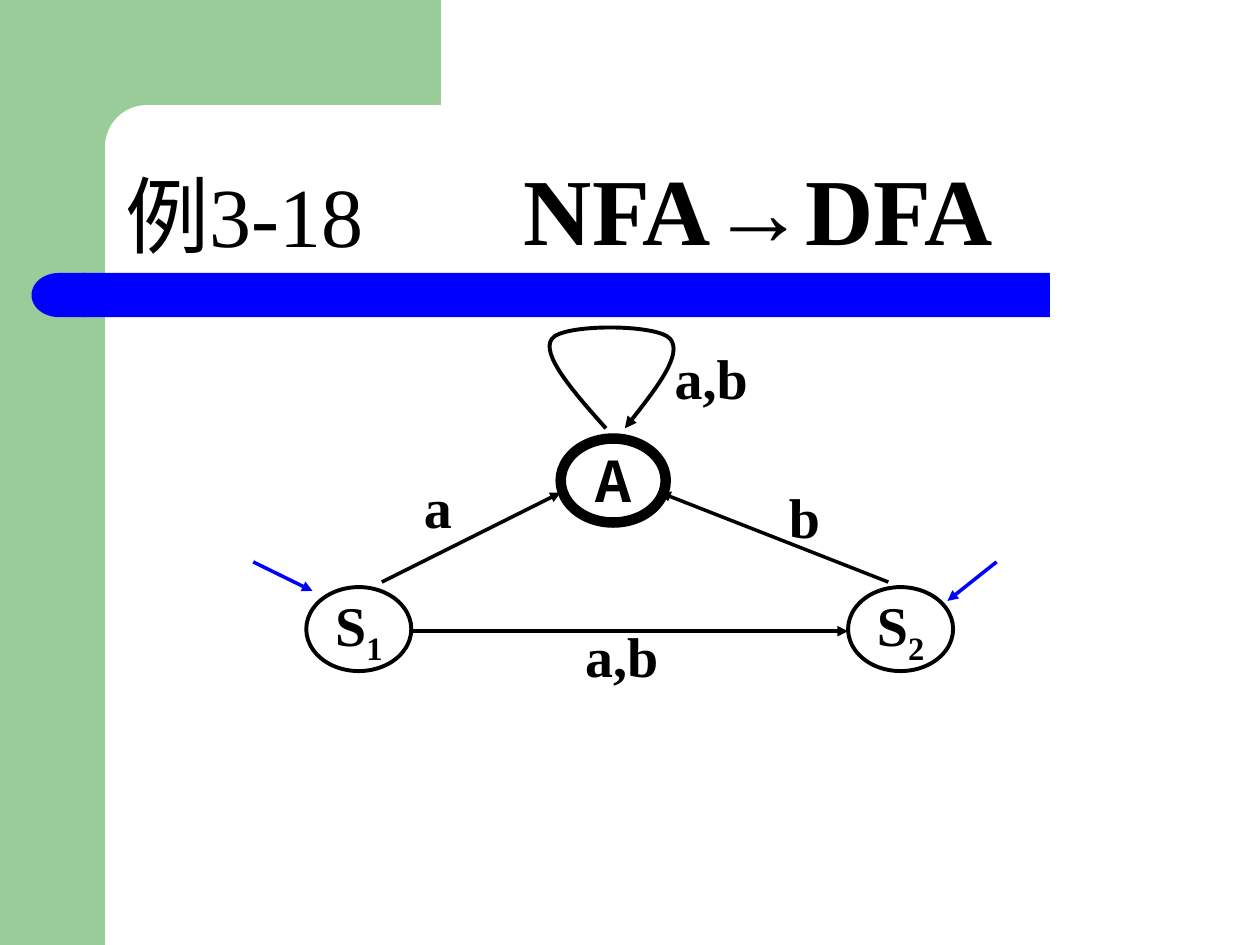
from lxml.etree import SubElement
from pptx import Presentation
from pptx.dml.color import RGBColor
from pptx.enum.shapes import MSO_CONNECTOR, MSO_SHAPE
from pptx.enum.text import MSO_ANCHOR, PP_ALIGN
from pptx.oxml.ns import qn
from pptx.util import Pt

COLORS = {"green": "99CC99", "blue": "0000FF", "white": "FFFFFF", "black": "000000"}
SERIF, SANS = "Times New Roman", "Noto Sans CJK SC"


def color(name):
    """Return the named colour."""
    return RGBColor.from_string(COLORS[name])


def add_block(page, kind, left, top, width, height, fill=None, line=None, weight=2.25):
    """Add a preset shape with an optional fill and outline."""
    shape = page.shapes.add_shape(kind, Pt(left), Pt(top), Pt(width), Pt(height))
    shape.shadow.inherit = False
    if fill:
        shape.fill.solid()
        shape.fill.fore_color.rgb = color(fill)
    else:
        shape.fill.background()
    if line:
        shape.line.color.rgb = color(line)
        shape.line.width = Pt(weight)
    else:
        shape.line.fill.background()
    return shape


def write(shape, text, sub="", size=32, font=SERIF, bold=True, align=PP_ALIGN.CENTER,
          anchor=MSO_ANCHOR.MIDDLE, wrap=True, inset=True, spacing=None):
    """Write one paragraph, with an optional subscript, into a shape."""
    frame = shape.text_frame
    frame.word_wrap = wrap
    frame.vertical_anchor = anchor
    if not inset:
        frame.margin_left = frame.margin_right = frame.margin_top = frame.margin_bottom = 0
    para = frame.paragraphs[0]
    para.alignment = align
    para.line_spacing = spacing
    for part in filter(None, (text, sub)):
        span = para.add_run()
        span.text = part
        span.font.size = Pt(size)
        span.font.name = font
        span.font.bold = bold
        span.font.color.rgb = color("black")
    if sub:
        span.font._element.set("baseline", "-25000")


def add_text(page, left, top, width, height, text, **format_options):
    """Add a text box."""
    box = page.shapes.add_textbox(Pt(left), Pt(top), Pt(width), Pt(height))
    write(box, text, **format_options)


def add_arrowhead(shape):
    """Put a triangle at the end of a line."""
    SubElement(shape.line._get_or_add_ln(), qn("a:tailEnd"), type="triangle")


def add_arrow(page, start, end, line="black"):
    """Add a straight arrow."""
    arrow = page.shapes.add_connector(MSO_CONNECTOR.STRAIGHT, *map(Pt, start + end))
    arrow.line.color.rgb = color(line)
    arrow.line.width = Pt(2)
    add_arrowhead(arrow)
    SubElement(arrow._element.spPr, qn("a:effectLst"))


def add_loop(page, points):
    """Add a curved arrow through cubic Bezier points."""
    vertices = [(Pt(x), Pt(y)) for x, y in points]
    builder = page.shapes.build_freeform(*vertices[0])
    builder.add_line_segments(vertices[1:], close=False)
    loop = builder.convert_to_shape()
    loop.shadow.inherit = False
    loop.fill.background()
    loop.line.color.rgb = color("black")
    loop.line.width = Pt(2.25)
    add_arrowhead(loop)
    outline = loop._element.find(".//" + qn("a:path"))
    segments = outline.findall(qn("a:lnTo"))
    for first in range(0, len(segments), 3):
        curve = SubElement(outline, qn("a:cubicBezTo"))
        for segment in segments[first:first + 3]:
            curve.append(segment[0])
            outline.remove(segment)


def draw_frame(page, left, top, width, height):
    """Draw the green corner and the blue bar."""
    add_block(page, MSO_SHAPE.RECTANGLE, left, top, 60, height, fill="green")
    add_block(page, MSO_SHAPE.RECTANGLE, left + 54, top, 198, 84, fill="green")
    corner = add_block(page, MSO_SHAPE.ROUNDED_RECTANGLE, left + 60, top + 60, 402, 48,
                       fill="white")
    corner.adjustments[0] = 0.5
    add_block(page, MSO_SHAPE.RECTANGLE, left + 48, top + 156, width - 168, 25.2, fill="blue")
    cap = add_block(page, MSO_SHAPE.FLOWCHART_DELAY, left + 18, top + 156, 31, 25.2, fill="blue")
    cap.rotation = 180


def draw_titles(page, left, top, height):
    """Write the two headings above the bar."""
    heading = dict(align=PP_ALIGN.LEFT, anchor=MSO_ANCHOR.BOTTOM, spacing=0.9)
    add_text(page, left, top, 187, height, "例3-18", size=48, bold=False, **heading)
    add_text(page, left + 227.5, top, 289.5, height, "NFA→DFA", size=54, **heading)


def draw_automaton(page, left, top):
    """Draw the states, transitions and their labels."""
    def at(x, y):
        return left + x, top + y

    add_loop(page, [at(*point) for point in (
        (202.3, 70.8), (183.6, 49.9), (164.9, 28.3), (171.4, 19.7), (177.1, 11),
        (231.8, 11), (239, 19.7), (246.2, 28.3), (229.7, 49.9), (213.1, 70.8))])
    for x, y, name, sub, weight, font in (
            (340.6, 161.5, "S", "2", 2.25, SERIF),
            (176.4, 76.6, "A", "", 6, SANS),
            (31, 161.5, "S", "1", 2.25, SERIF)):
        state = add_block(page, MSO_SHAPE.OVAL, *at(x, y), 60, 48, line="black", weight=weight)
        write(state, name, sub=sub, font=font, wrap=False)
    for start, end, line in (
            ((91.4, 186.7), (340.6, 186.7), "black"),
            ((0.7, 147.1), (34.6, 163.7), "blue"),
            ((425.5, 147.1), (397.4, 169.4), "blue"),
            ((74.2, 158.6), (176.4, 107.5), "black"),
            ((363.6, 158.6), (233.3, 107.5), "black")):
        add_arrow(page, at(*start), at(*end), line)
    for x, y, width, label in (
            (97.2, 96, 18, "a"), (235.4, 22.6, 54, "a,b"),
            (306.7, 101.8, 18, "b"), (184.3, 181, 54, "a,b")):
        add_text(page, *at(x, y), width, 38.2, label, inset=False)


def main():
    """Build the slide and save it."""
    deck = Presentation()
    deck.slide_width, deck.slide_height = Pt(720), Pt(540)
    page = deck.slides.add_slide(deck.slide_layouts[6])
    draw_frame(page, 0, 0, 720, 540)
    draw_titles(page, 64.8, 65.5, 90)
    draw_automaton(page, 144, 174)
    deck.save("out.pptx")


if __name__ == "__main__":
    main()
